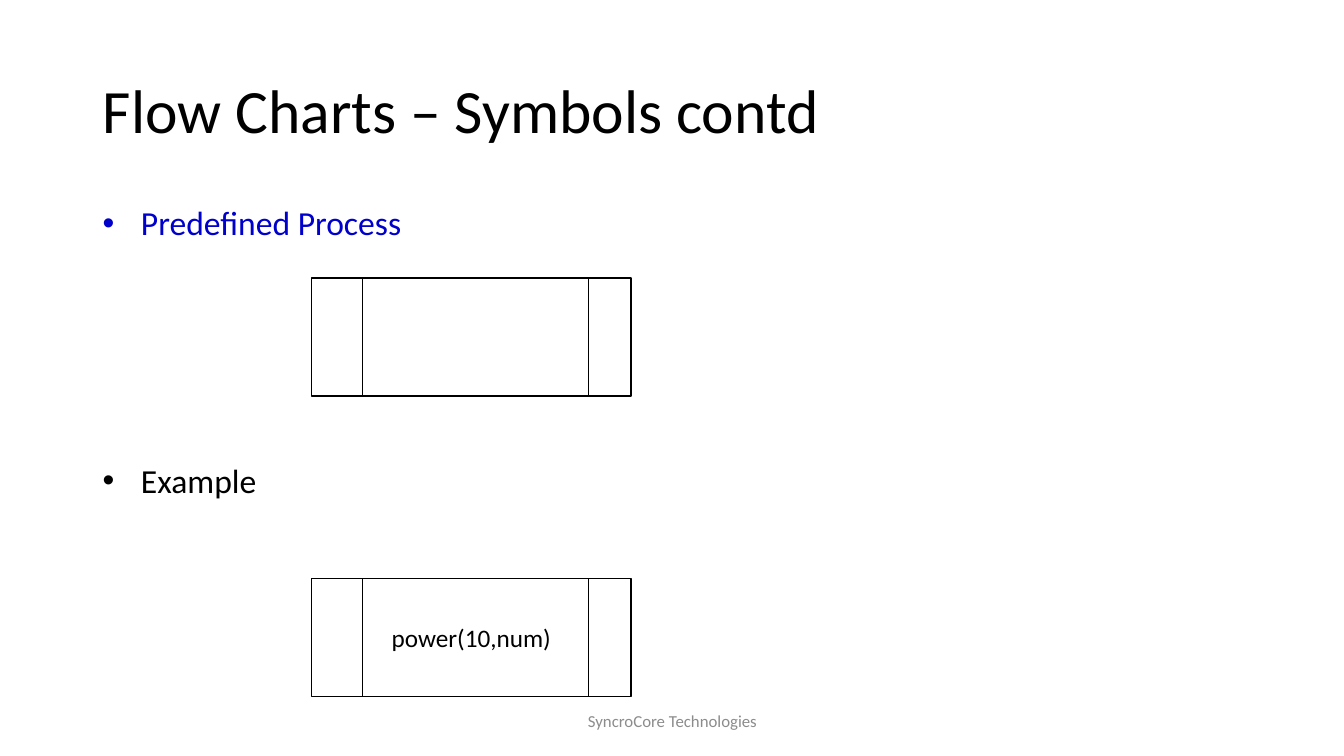
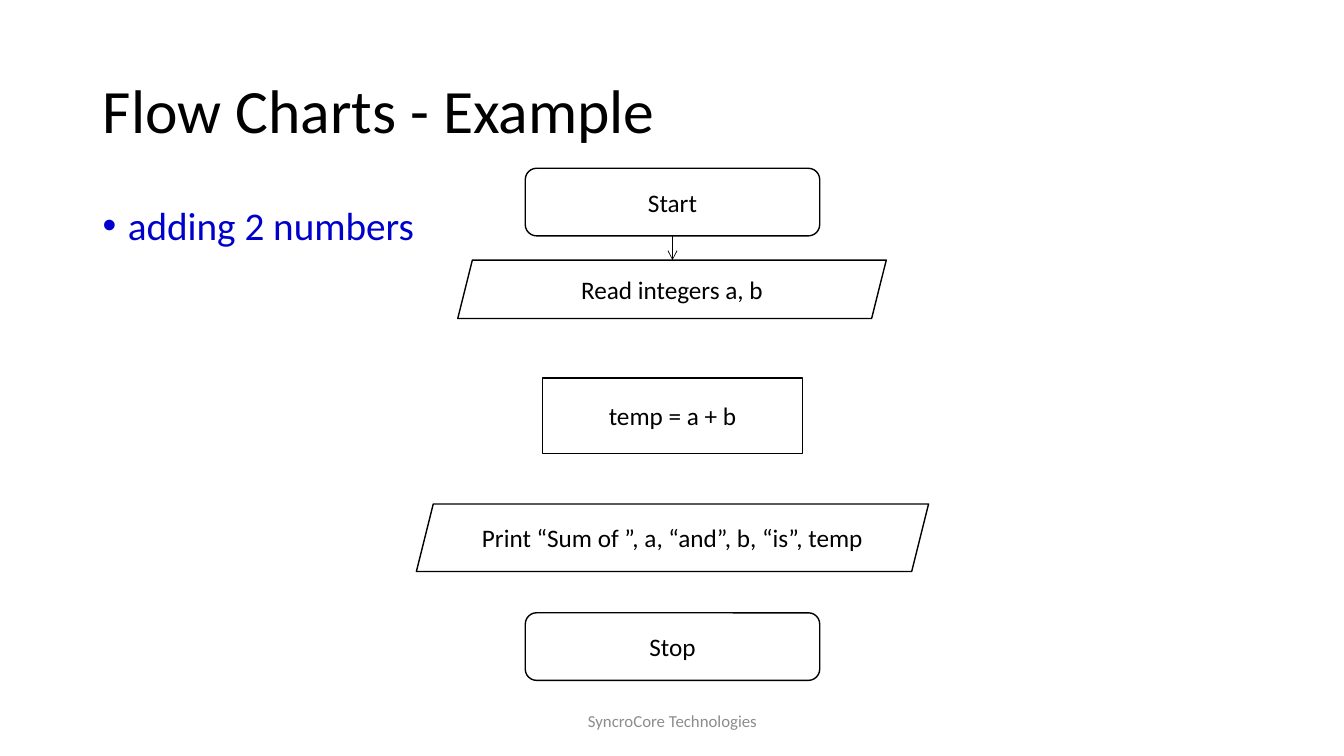
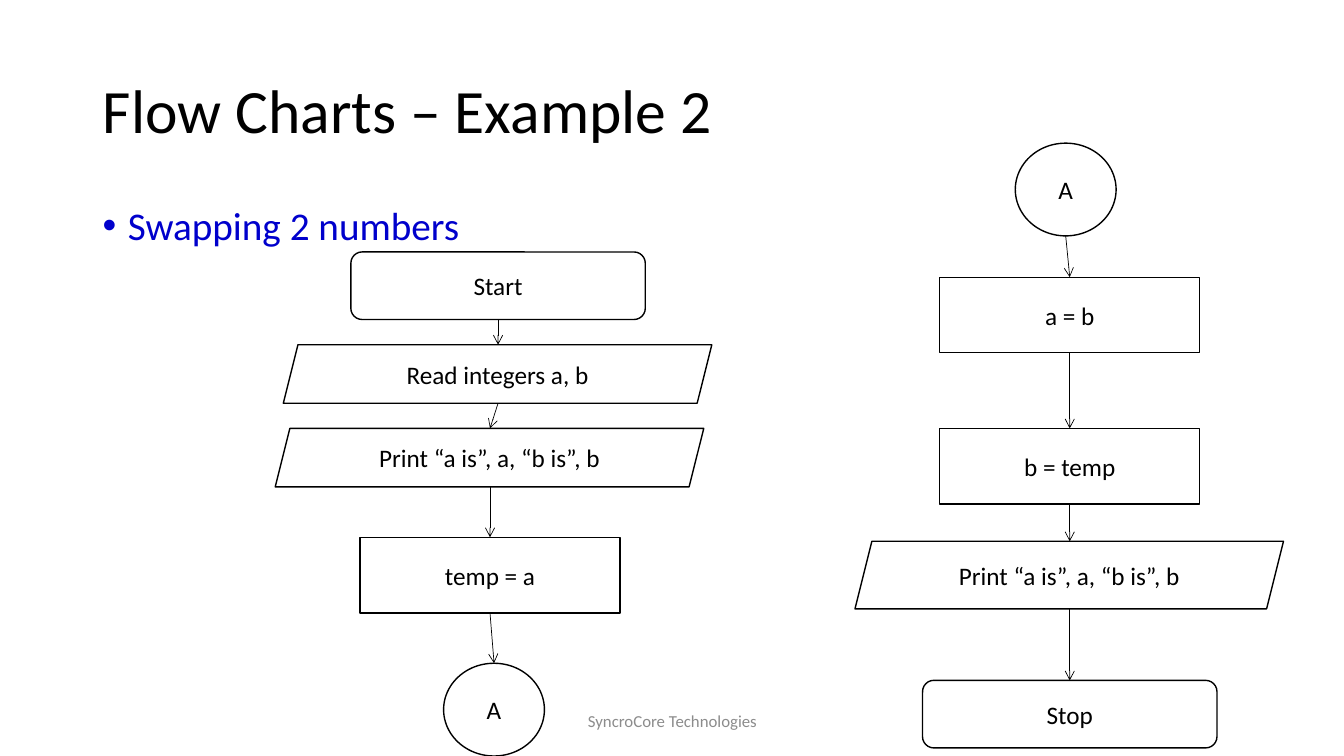
"""Build three slides on flow chart symbols and examples."""
from itertools import pairwise

from lxml.etree import SubElement
from pptx import Presentation
from pptx.dml.color import RGBColor
from pptx.enum.shapes import MSO_CONNECTOR, MSO_SHAPE
from pptx.enum.text import MSO_ANCHOR, MSO_AUTO_SIZE, PP_ALIGN
from pptx.oxml.ns import qn
from pptx.util import Emu, Pt

EMU_PER_PX = 9144
BLACK, WHITE, BLUE, GREY = "000000", "FFFFFF", "0000CC", "8C8C8C"

NODES = {
    "terminal": (MSO_SHAPE.ROUNDED_RECTANGLE, 292, 67),
    "io": (MSO_SHAPE.PARALLELOGRAM, 425, 58),
    "tall io": (MSO_SHAPE.PARALLELOGRAM, 425, 67),
    "wide io": (MSO_SHAPE.PARALLELOGRAM, 508, 67),
    "process": (MSO_SHAPE.RECTANGLE, 258, 75),
    "connector": (MSO_SHAPE.OVAL, 100, 92),
}


def px(*lengths):
    """Turn px lengths into EMU."""
    return [Emu(round(n * EMU_PER_PX)) for n in lengths]


def color(hex_text):
    """Turn a hex string into a colour."""
    return RGBColor.from_string(hex_text)


class Deck:
    """Hold the shared style and the current slide."""

    font = "Calibri"

    def __init__(self):
        """Start a wide presentation."""
        self.prs = Presentation()
        self.prs.slide_width, self.prs.slide_height = px(1333, 750)
        self.s = None

    def style(self, p, size, hex_text, align):
        """Format a paragraph and its runs."""
        p.alignment = align
        for r in p.runs:
            r.font.name = self.font
            r.font.size = Pt(size)
            r.font.color.rgb = color(hex_text)

    def slide(self, title):
        """Add a slide with its title and footer."""
        self.s = self.prs.slides.add_slide(self.prs.slide_layouts[5])
        sp = self.s.shapes.title
        sp.left, sp.top, sp.width, sp.height = px(92, 40, 1150, 145)
        tf = sp.text_frame
        tf.text = title
        tf.auto_size = MSO_AUTO_SIZE.NONE
        tf.vertical_anchor = MSO_ANCHOR.MIDDLE
        tf.paragraphs[0].line_spacing = 0.9
        self.style(tf.paragraphs[0], 44, BLACK, PP_ALIGN.LEFT)
        tf = self.text_box(442, 695, 450, 40)
        tf.text = "SyncroCore Technologies"
        tf.vertical_anchor = MSO_ANCHOR.MIDDLE
        self.style(tf.paragraphs[0], 12, GREY, PP_ALIGN.CENTER)

    def text_box(self, *box):
        """Add a wrapping text box and return its frame."""
        tf = self.s.shapes.add_textbox(*px(*box)).text_frame
        tf.word_wrap = True
        return tf

    def bullets(self, items, size, indent):
        """Add bullets given as text, colour and space before."""
        tf = self.text_box(92, 200, 1150, 476)
        tf.text = "\n".join(text for text, _, _ in items)
        for p, (_, hex_text, before) in zip(tf.paragraphs, items):
            self.style(p, size, hex_text, PP_ALIGN.LEFT)
            p.line_spacing = 0.9
            p.space_before = Pt(before)
            pPr = p._p.get_or_add_pPr()
            margin = px(indent)[0]
            pPr.set("marL", str(margin))
            pPr.set("indent", str(-margin))
            SubElement(pPr, qn("a:buFont")).set("typeface", "Arial")
            SubElement(pPr, qn("a:buChar")).set("char", "•")

    def shape(self, kind, box, text=""):
        """Add an outlined shape with centred text."""
        sp = self.s.shapes.add_shape(kind, *px(*box))
        sp.shadow.inherit = False
        sp.fill.solid()
        sp.fill.fore_color.rgb = color(WHITE)
        sp.line.color.rgb = color(BLACK)
        sp.line.width = Pt(1)
        if text:
            tf = sp.text_frame
            tf.text = text
            tf.word_wrap = False
            tf.vertical_anchor = MSO_ANCHOR.MIDDLE
            self.style(tf.paragraphs[0], 18, BLACK, PP_ALIGN.CENTER)

    def line(self, start, end, arrow=False):
        """Add a thin line, with an arrowhead at its end if asked."""
        c = self.s.shapes.add_connector(
            MSO_CONNECTOR.STRAIGHT, *px(*start, *end))
        c.line.color.rgb = color(BLACK)
        c.line.width = Pt(0.5)
        if arrow:
            ln = c.line._get_or_add_ln()
            SubElement(ln, qn("a:tailEnd")).set("type", "arrow")
        SubElement(c._element.spPr, qn("a:effectLst"))

    def predefined(self, top, text=""):
        """Add a predefined process symbol."""
        left, width, height = 309, 317, 117
        self.shape(MSO_SHAPE.RECTANGLE, (left, top, width, height), text)
        for x in (left + 50, left + 275):
            self.line((x, top), (x, top + height))

    def flow(self, nodes, arrows=None):
        """Add nodes given as kind, centre, top and text, then arrows."""
        ports = []
        for name, center, top, text in nodes:
            kind, width, height = NODES[name]
            left = center - (width + 1) // 2
            self.shape(kind, (left, top, width, height), text)
            ports.append(((center, top), (center, top + height)))
        for (_, start), (end, _) in list(pairwise(ports))[:arrows]:
            self.line(start, end, arrow=True)


def main():
    """Build and save the slides."""
    deck = Deck()

    deck.slide("Flow Charts – Symbols contd")
    deck.bullets([("Predefined Process", BLUE, 5), ("Example", BLACK, 158)],
                 24, 38)
    deck.predefined(276)
    deck.predefined(574, "power(10,num)")

    deck.slide("Flow Charts - Example")
    deck.bullets([("adding 2 numbers", BLUE, 10)], 28, 25)
    deck.flow([
        ("terminal", 667, 167, "Start"),
        ("io", 667, 258, "Read integers a, b"),
        ("process", 667, 375, "temp = a + b"),
        ("wide io", 667, 500, "Print “Sum of ”, a, “and”, b, “is”, temp"),
        ("terminal", 667, 608, "Stop"),
    ], arrows=1)

    deck.slide("Flow Charts – Example 2")
    deck.bullets([("Swapping 2 numbers", BLUE, 10)], 28, 25)
    deck.flow([
        ("terminal", 494, 250, "Start"),
        ("io", 494, 342, "Read integers a, b"),
        ("io", 486, 425, "Print “a is”, a, “b is”, b"),
        ("process", 486, 533, "temp = a"),
        ("connector", 490, 658, "A"),
    ])
    deck.flow([
        ("connector", 1057, 142, "A"),
        ("process", 1061, 275, "a = b"),
        ("process", 1061, 425, "b = temp"),
        ("tall io", 1061, 537, "Print “a is”, a, “b is”, b"),
        ("terminal", 1061, 675, "Stop"),
    ])

    deck.prs.save("out.pptx")


if __name__ == "__main__":
    main()
